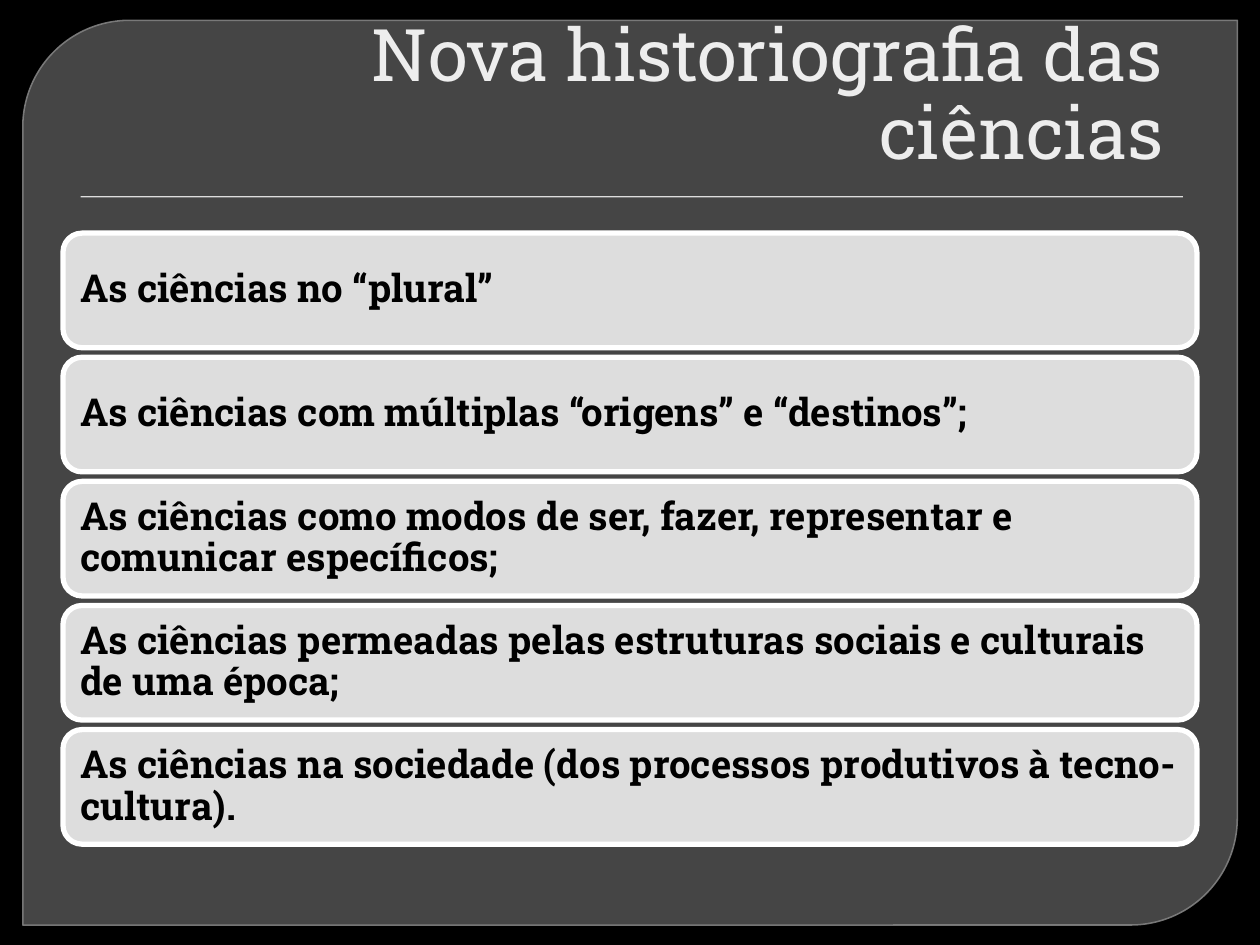
from lxml import etree
from pptx import Presentation
from pptx.dml.color import RGBColor
from pptx.enum.shapes import MSO_SHAPE
from pptx.enum.text import MSO_ANCHOR, PP_ALIGN
from pptx.oxml.ns import qn
from pptx.util import Pt

PANEL, CARD, RECT = (MSO_SHAPE.ROUND_2_DIAG_RECTANGLE,
                     MSO_SHAPE.ROUNDED_RECTANGLE, MSO_SHAPE.RECTANGLE)
MIDDLE, BOTTOM = MSO_ANCHOR.MIDDLE, MSO_ANCHOR.BOTTOM
LEFT, RIGHT = PP_ALIGN.LEFT, PP_ALIGN.RIGHT

BLACK = RGBColor(0x00, 0x00, 0x00)
WHITE = RGBColor(0xFF, 0xFF, 0xFF)
GREY = RGBColor(0x6B, 0x6B, 0x6B)
EDGE = RGBColor(0x84, 0x84, 0x84)
LIGHT = RGBColor(0xDD, 0xDD, 0xDD)
PALE = RGBColor(0xED, 0xED, 0xED)
FONT = "Roboto Slab"

TITLE = "Nova historiografia das ciências"
ITEMS = [
    "As ciências no “plural”",
    "As ciências com múltiplas “origens” e “destinos”;",
    "As ciências como modos de ser, fazer, representar e comunicar específicos;",
    "As ciências permeadas pelas estruturas sociais e culturais de uma época;",
    "As ciências na sociedade (dos processos produtivos à tecno-cultura).",
]


def set_alpha(fill, percent):
    """Make a solid fill partly transparent."""
    color = fill._xPr.find(qn("a:solidFill"))[0]
    etree.SubElement(color, qn("a:alpha"), val=str(percent * 1000))


def add_shape(slide, kind, box, fill, line=None, width=0):
    shape = slide.shapes.add_shape(kind, *map(Pt, box))
    shape.shadow.inherit = False
    shape.fill.solid()
    shape.fill.fore_color.rgb = fill
    if line is None:
        shape.line.fill.background()
    else:
        shape.line.color.rgb = line
        shape.line.width = Pt(width)
    return shape


def set_text(shape, text, size, color, bold=False, align=LEFT,
             anchor=MIDDLE, insets=(0, 0, 0, 0)):
    """Write one paragraph; insets run left, top, right, bottom."""
    frame = shape.text_frame
    frame.word_wrap = True
    frame.vertical_anchor = anchor
    (frame.margin_left, frame.margin_top,
     frame.margin_right, frame.margin_bottom) = map(Pt, insets)
    para = frame.paragraphs[0]
    para.alignment = align
    para.line_spacing = 0.9
    run = para.add_run()
    run.text = text
    font = run.font
    font.name, font.size, font.bold = FONT, Pt(size), bold
    font.color.rgb = color


def add_panel(slide, box):
    left, top, width, height = box
    panel = add_shape(slide, PANEL, box, GREY, EDGE, 0.87)
    panel.adjustments[0] = 0.118
    panel.adjustments[1] = 0
    set_alpha(panel.fill, 65)
    set_alpha(panel.line.fill, 88)
    add_shape(slide, RECT, (left + 33, top + 100.5, width - 64, 0.75), LIGHT)


def add_title(slide, box):
    title = slide.shapes.add_textbox(*map(Pt, box))
    set_text(title, TITLE, 41.4, PALE, align=RIGHT, anchor=BOTTOM,
             insets=(7.2, 0, 7.2, 0))


def add_cards(slide, box, gap):
    left, top, width, height = box
    step = (height + gap) / len(ITEMS)
    for i, item in enumerate(ITEMS):
        place = (left, top + i * step, width, step - gap)
        card = add_shape(slide, CARD, place, LIGHT, WHITE, 3)
        set_text(card, item, 22, BLACK, bold=True, insets=(6.6,) * 4)


def main():
    deck = Presentation()
    deck.slide_width, deck.slide_height = Pt(720), Pt(540)
    slide = deck.slides.add_slide(deck.slide_layouts[6])
    back = slide.background.fill
    back.solid()
    back.fore_color.rgb = BLACK
    add_panel(slide, (13, 11.6, 694, 517))
    add_title(slide, (36, 25.2, 635.8, 74.8))
    add_cards(slide, (36, 133.2, 648, 349.2), gap=5.4)
    deck.save("out.pptx")


if __name__ == "__main__":
    main()
